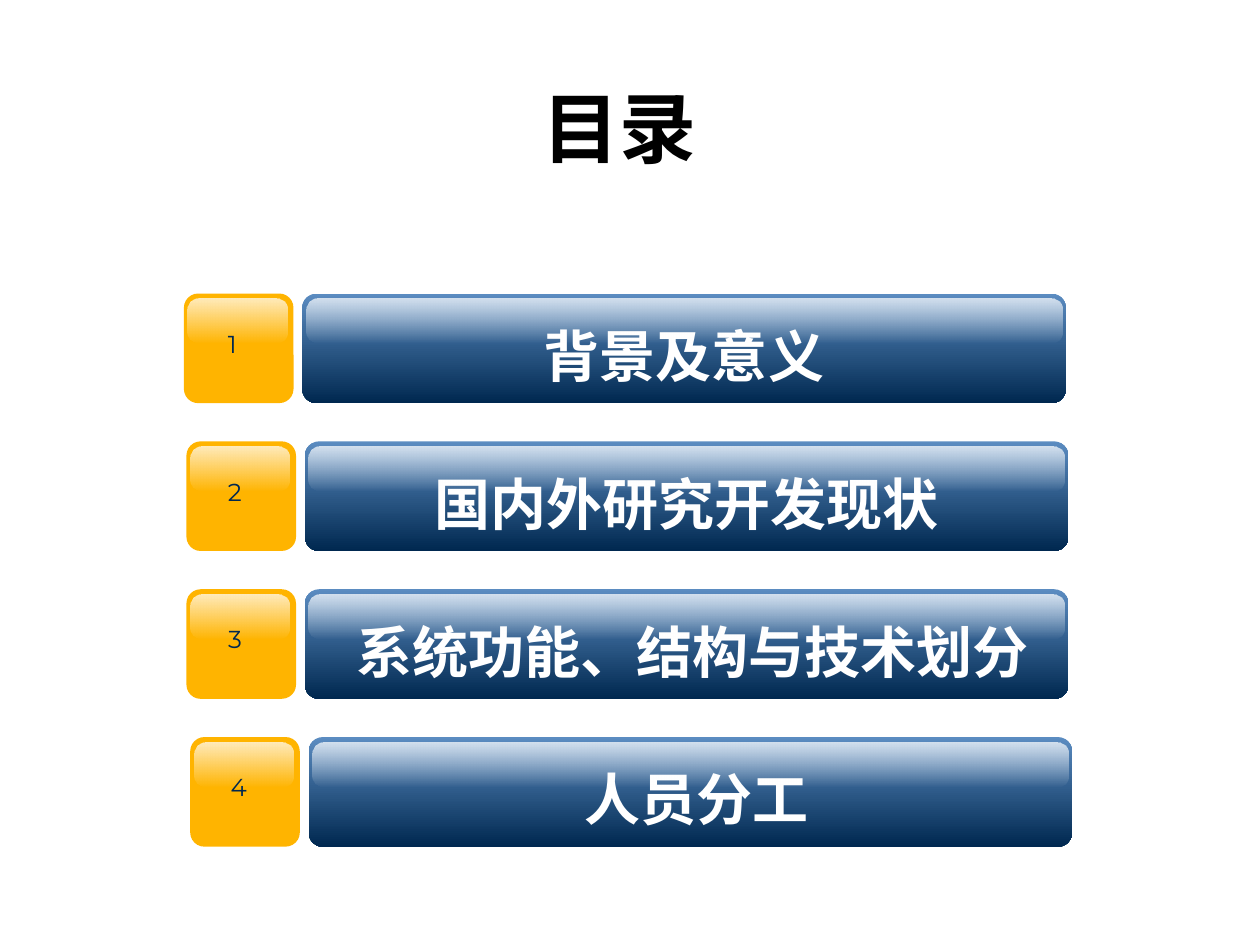
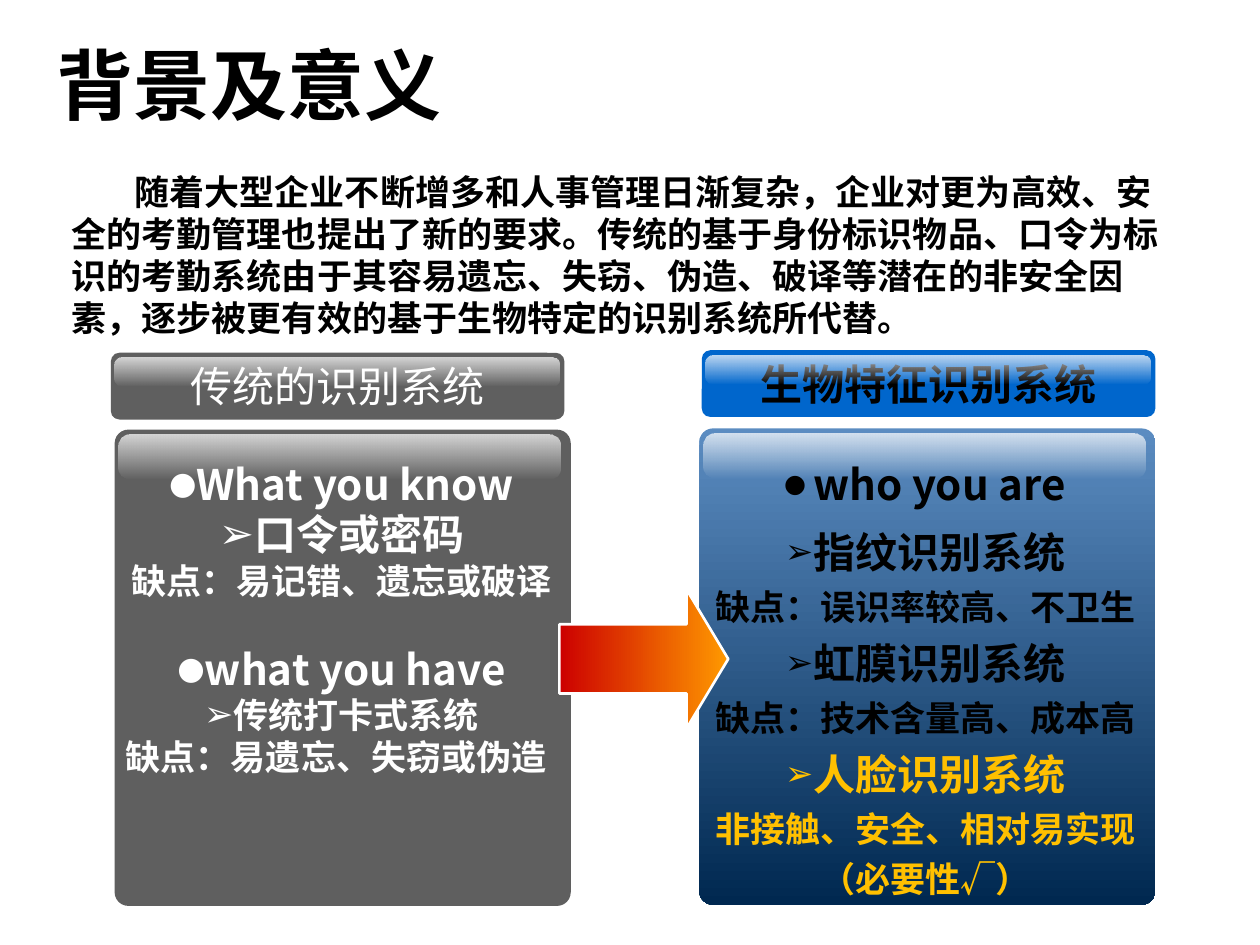
from lxml.etree import SubElement
from pptx import Presentation
from pptx.dml.color import RGBColor
from pptx.enum.shapes import MSO_SHAPE
from pptx.enum.text import MSO_ANCHOR, PP_ALIGN
from pptx.oxml.ns import qn
from pptx.util import Inches, Pt

BLACK = RGBColor(0x00, 0x00, 0x00)
WHITE = RGBColor(0xFF, 0xFF, 0xFF)
SKY = RGBColor(0x5B, 0x8C, 0xC1)
NAVY = RGBColor(0x00, 0x28, 0x50)
AMBER = RGBColor(0xFF, 0xB4, 0x00)
GOLD = RGBColor(0xFF, 0xC0, 0x00)
BLUE = RGBColor(0x00, 0x66, 0xCC)
GRAY = RGBColor(0x5F, 0x5F, 0x5F)
RED = RGBColor(0xCC, 0x00, 0x00)
ORANGE = RGBColor(0xFF, 0x99, 0x00)

CJK_FONT = "Noto Sans CJK SC"
TITLE_FONT = "DejaVu Sans"
NUMBER_FONT = "Montserrat"
LOOSE = 1.2  # line spacing of the agenda bars and the biometric lists

AGENDA = ["背景及意义", "国内外研究开发现状", " 系统功能、结构与技术划分", " 人员分工"]
AGENDA_LEFTS = [1.46, 1.48, 1.48, 1.51]
AGENDA_TOP, AGENDA_STEP = 2.33, 3.52 / 3

INTRODUCTION = (
    "随着大型企业不断增多和人事管理日渐复杂，企业对更为高效、安全的考勤管理也提出了新的要求。"
    "传统的基于身份标识物品、口令为标识的考勤系统由于其容易遗忘、失窃、伪造、破译等潜在的非安全因素，"
    "逐步被更有效的基于生物特定的识别系统所代替。"
)
# Each line: text, size, bullet
TRADITIONAL = [
    ("What you know", 24, "●"),
    ("口令或密码", 24, "➢"),
    ("缺点：易记错、遗忘或破译", 20, None),
    ("what you have", 24, "●"),
    ("传统打卡式系统", 20, "➢"),
    ("缺点：易遗忘、失窃或伪造", 20, None),
]
BIOMETRIC = [
    ("指纹识别系统", 24, "➢"),
    ("缺点：误识率较高、不卫生", 20, None),
    ("虹膜识别系统", 24, "➢"),
    ("缺点：技术含量高、成本高", 20, None),
    ("人脸识别系统", 24, "➢"),
    ("非接触、安全、相对易实现", 20, None),
    ("（必要性√）", 20, None),
]


def format_paragraph(paragraph, size, color, bold=True, font=CJK_FONT,
                     align=PP_ALIGN.CENTER, spacing=1.0):
    paragraph.alignment = align
    paragraph.line_spacing = spacing
    for run in paragraph.runs:
        run.font.size = Pt(size)
        run.font.bold = bold
        run.font.name = font
        run.font.color.rgb = color
        SubElement(run.font._element, qn("a:ea")).set("typeface", font)


def add_bullet(paragraph, character, percent, hanging):
    properties = paragraph._p.get_or_add_pPr()
    properties.set("marL", str(Inches(hanging)))
    properties.set("indent", str(-Inches(hanging)))
    SubElement(properties, qn("a:buSzPct")).set("val", str(percent * 1000))
    SubElement(properties, qn("a:buFont")).set("typeface", TITLE_FONT)
    SubElement(properties, qn("a:buChar")).set("char", character)


def paint(shape, colors, angle=270, opacities=()):
    """Fill with one colour, or with a gradient of two."""
    shape.shadow.inherit = False
    shape.line.fill.background()
    if len(colors) == 1:
        shape.fill.solid()
        shape.fill.fore_color.rgb = colors[0]
        return
    shape.fill.gradient()
    shape.fill.gradient_angle = angle
    for stop, color in zip(shape.fill.gradient_stops, colors):
        stop.color.rgb = color
    for element, opacity in zip(shape._element.iter(qn("a:srgbClr")), opacities):
        SubElement(element, qn("a:alpha")).set("val", str(opacity * 1000))


def add_rounded(slide, box, radius, colors, opacities=()):
    shape = slide.shapes.add_shape(MSO_SHAPE.ROUNDED_RECTANGLE, *map(Inches, box))
    shape.adjustments[0] = radius
    paint(shape, colors, opacities=opacities)
    return shape


def add_glossy(slide, box, radius, colors, trim, gloss_height=0.35):
    """Rounded box with a white sheen at its top, narrower than the box by trim."""
    left, top, width, _ = box
    shape = add_rounded(slide, box, radius, colors)
    sheen = (left + 0.03, top + 0.04, width - trim, gloss_height)
    add_rounded(slide, sheen, 0.26, (WHITE, WHITE), opacities=(75, 0))
    return shape


def set_label(shape, text, size, color, bold=True, spacing=1.0):
    frame = shape.text_frame
    frame.text = text
    frame.word_wrap = False
    frame.vertical_anchor = MSO_ANCHOR.MIDDLE
    format_paragraph(frame.paragraphs[0], size, color, bold, spacing=spacing)


def add_text(slide, box, text):
    frame = slide.shapes.add_textbox(*map(Inches, box)).text_frame
    frame.word_wrap = True
    frame.text = text
    return frame


def set_title(slide, box, text, font, align):
    title = slide.shapes.title
    title.left, title.top, title.width, title.height = map(Inches, box)
    title.text_frame.text = text
    title.text_frame.vertical_anchor = MSO_ANCHOR.MIDDLE
    format_paragraph(title.text_frame.paragraphs[0], 44, BLACK, font=font, align=align)


def add_agenda_row(slide, left, top, number, text):
    bar = add_glossy(slide, (left + 0.94, top, 6.06, 0.87), 0.13, (SKY, NAVY), 0.06)
    set_label(bar, text, 32, WHITE, spacing=LOOSE)
    add_glossy(slide, (left, top, 0.87, 0.87), 0.13, (AMBER,), 0.08)
    frame = add_text(slide, (left + 0.27, top + 0.23, 0.23, 0.4), str(number))
    frame.margin_left = frame.margin_right = 0
    paragraph = frame.paragraphs[0]
    format_paragraph(paragraph, 14, NAVY, bold=False, font=NUMBER_FONT)
    paragraph.runs[0].font._element.set("spc", "-70")


def add_column(slide, header_box, panel_box, header, header_color, panel_colors,
               text_color, bold):
    header_shape = add_glossy(slide, header_box, 0.13, (header_color,), 0.07, 0.22)
    set_label(header_shape, header, 24, text_color, bold)
    add_glossy(slide, panel_box, 0.03, panel_colors, 0.11)


def add_list(slide, box, lines, color, spacing=1.0, percent=100, hanging=0):
    frame = add_text(slide, box, "\n".join(text for text, _, _ in lines))
    for paragraph, (_, size, bullet) in zip(frame.paragraphs, lines):
        format_paragraph(paragraph, size, color, spacing=spacing)
        if bullet:
            # The round bullet is drawn smaller than the arrowhead one
            scale = 0.75 if bullet == "●" else 1
            add_bullet(paragraph, bullet, round(percent * scale), hanging)
    return frame.paragraphs


def add_arrow(slide, box):
    arrow = slide.shapes.add_shape(MSO_SHAPE.RIGHT_ARROW, *map(Inches, box))
    arrow.adjustments[0] = 0.5
    arrow.adjustments[1] = 0.3
    paint(arrow, (RED, ORANGE), angle=0)
    arrow.line.color.rgb = WHITE
    arrow.line.width = Pt(1.5)


def add_introduction(slide, box):
    paragraph = add_text(slide, box, INTRODUCTION).paragraphs[0]
    format_paragraph(paragraph, 20, BLACK, align=PP_ALIGN.LEFT)
    properties = paragraph._p.get_or_add_pPr()
    properties.set("indent", str(Inches(0.5)))
    properties.set("hangingPunct", "0")


def build_agenda(slide):
    set_title(slide, (0, 0.55, 9.84, 0.91), "目录", TITLE_FONT, PP_ALIGN.CENTER)
    for index, (left, text) in enumerate(zip(AGENDA_LEFTS, AGENDA)):
        add_agenda_row(slide, left, AGENDA_TOP + index * AGENDA_STEP, index + 1, text)


def build_background(slide):
    set_title(slide, (0.35, 0.21, 5.82, 0.91), "背景及意义", CJK_FONT, PP_ALIGN.LEFT)
    add_introduction(slide, (0.47, 1.3, 8.98, 1.45))
    add_column(slide, (0.88, 2.8, 3.6, 0.53), (0.91, 3.41, 3.62, 3.78),
               "传统的识别系统", GRAY, (GRAY,), WHITE, bold=False)
    add_column(slide, (5.57, 2.78, 3.6, 0.53), (5.55, 3.4, 3.62, 3.78),
               "生物特征识别系统", BLUE, (SKY, NAVY), BLACK, bold=True)
    add_arrow(slide, (4.44, 4.68, 1.34, 1.1))

    traditional = add_list(slide, (0.9, 3.59, 3.62, 3.94), TRADITIONAL, WHITE)
    traditional[3].space_before = Pt(24)
    traditional[-1].alignment = PP_ALIGN.LEFT

    add_list(slide, (5.23, 3.51, 4.22, 0.52), [("who you are", 24, "●")],
             BLACK, LOOSE, 80, 0.23)
    biometric = add_list(slide, (5.47, 4.05, 3.75, 4.93), BIOMETRIC, BLACK, LOOSE, 80, 0.23)
    for paragraph in biometric[4:]:
        paragraph.runs[0].font.color.rgb = GOLD


def main():
    presentation = Presentation()
    presentation.slide_width = Inches(10)
    presentation.slide_height = Inches(7.5)
    title_only = presentation.slide_layouts[5]
    for build in (build_agenda, build_background):
        build(presentation.slides.add_slide(title_only))
    presentation.save("out.pptx")


if __name__ == "__main__":
    main()
